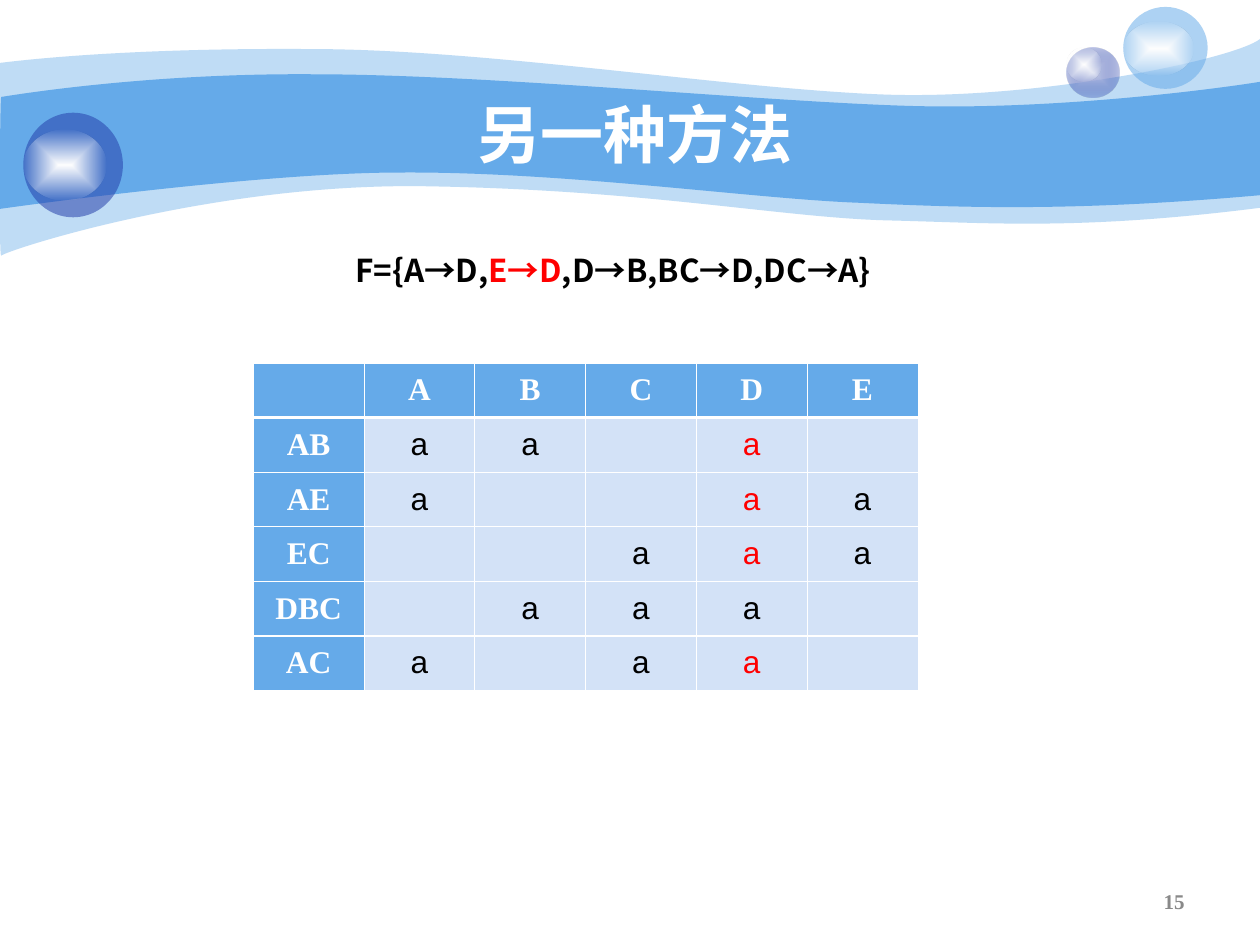
import pptx
import pptx.util
import pptx.dml.color
import pptx.enum.shapes
import pptx.enum.text
import pptx.oxml
import pptx.oxml.ns
from lxml import etree

COLS, ROWS = 100, 75
UNIT = pptx.util.Inches(0.1)
BLUE, NAVY, PALE, WHITE, BLACK, RED = "65AAE9", "233DA9", "D3E2F7", "FFFFFF", "000000", "FF0000"
SERIF, SANS, CJK = "Times New Roman", "Arial", "Noto Sans CJK SC"
qn = pptx.oxml.ns.qn
MIDDLE = pptx.enum.text.MSO_ANCHOR.MIDDLE
ALIGN = pptx.enum.text.PP_ALIGN

WAVES = [
    (41, (0, 5), [
        (2.4, 4.7, 10.7, 3.8, 24.7, 3.9), (38.6, 3.9, 57.5, 7, 69.9, 7.5),
        (82.2, 8, 98, 4.7, 100, 3.1), (100, 16.5),
        (85.8, 18.3, 78.7, 17.7, 70.5, 17.5), (62.2, 17.3, 51.5, 15.1, 34.3, 14.8),
        (17.2, 14.4, 0.4, 19.9, 0.1, 20.3), (-0.1, 20.8, 0, 7.5, 0, 5)]),
    (100, (0.1, 7.7), [
        (0.2, 7.7, 11, 5.8, 24.8, 5.9), (38.6, 5.9, 59.5, 8, 71.8, 8.4),
        (84.1, 8.8, 97.6, 6.9, 100, 6.5), (100, 15.5),
        (85.3, 16.8, 76.5, 16.5, 68.2, 16.1), (59.9, 15.8, 44.7, 13.6, 31.7, 13.7),
        (20.3, 13.7, -0.2, 16.6, -0.1, 16.6), (0, 16.6, 0, 7.7, 0.1, 7.7)]),
]
GLOW = [(WHITE, 100), (WHITE, 0)]
ORBS = [
    ((84.65, 3.75, 4.2, 4), [("C7CEE9", 100), (NAVY, 31)], (84.65, 3.75, 2.8, 2.7)),
    ((89.15, 0.55, 6.7, 6.5), [(BLUE, 53)], (89.15, 1.7, 5.6, 4.3)),
    ((1.85, 8.95, 7.9, 8.3), [(NAVY, 53)], (1.85, 10.3, 6.6, 5.6)),
]
HEADERS = ["", "A", "B", "C", "D", "E"]
RELATIONS = [("AB", "ABD", "D"), ("AE", "ADE", "D"), ("EC", "CDE", "D"),
             ("DBC", "BCD", ""), ("AC", "ACD", "D")]


def color(value):
    return pptx.dml.color.RGBColor.from_string(value)


def grid(*lengths):
    return [pptx.util.Emu(round(n * UNIT)) for n in lengths]


def paint(sp, stops):
    sp.shadow.inherit = False
    sp.line.fill.background()
    if len(stops) == 1:
        sp.fill.solid()
        sp.fill.fore_color.rgb = color(stops[0][0])
    else:
        sp.fill.gradient()
        for stop, (value, _) in zip(sp.fill.gradient_stops, stops):
            stop.color.rgb = color(value)
        gradient = sp.element.spPr.find(qn("a:gradFill"))
        gradient.remove(gradient.find(qn("a:lin")))
        shade = etree.SubElement(gradient, qn("a:path"), path="rect")
        etree.SubElement(shade, qn("a:fillToRect"), l="50000", t="50000", r="50000", b="50000")
    for node, (_, alpha) in zip(sp.element.spPr.iter(qn("a:srgbClr")), stops):
        if alpha < 100:
            etree.SubElement(node, qn("a:alpha"), val=str(alpha * 1000))


def bend(sp, segments):
    lines = iter(list(sp.element.spPr.iter(qn("a:lnTo"))))
    for seg in segments:
        first = next(lines)
        if len(seg) == 6:
            first.tag = qn("a:cubicBezTo")
            for line in (next(lines), next(lines)):
                first.append(line[0])
                line.getparent().remove(line)


def add_banner(s):
    for alpha, start, segments in WAVES:
        builder = s.shapes.build_freeform(*grid(*start))
        points = [grid(*seg[i:i + 2]) for seg in segments for i in range(0, len(seg), 2)]
        builder.add_line_segments(points, close=True)
        sp = builder.convert_to_shape()
        bend(sp, segments)
        paint(sp, [(BLUE, alpha)])


def add_orb(s, ball, stops, glow):
    group = s.shapes.add_group_shape()
    for box, fill in ((ball, stops), (glow, GLOW)):
        oval = pptx.enum.shapes.MSO_SHAPE.OVAL
        paint(group.shapes.add_shape(oval, *grid(*box)), fill)


def add_run(p, text, size, font, value, bold=True):
    r = p.add_run()
    r.text = text
    r.font.size = pptx.util.Pt(size)
    r.font.name = font
    r.font.bold = bold
    r.font.color.rgb = color(value)
    etree.SubElement(r.font._element, qn("a:ea"), typeface=CJK)


def add_title(s, box, text):
    sp = s.shapes.title
    sp.left, sp.top, sp.width, sp.height = grid(*box)
    sp.element.getparent().append(sp.element)
    tf = sp.text_frame
    tf.auto_size = pptx.enum.text.MSO_AUTO_SIZE.NONE
    tf.vertical_anchor = MIDDLE
    tf.margin_left = tf.margin_right = tf.margin_top = tf.margin_bottom = 0
    tf.paragraphs[0].alignment = ALIGN.CENTER
    add_run(tf.paragraphs[0], text, 36, SANS, WHITE)


def add_text(s, box, runs, size, font, align=ALIGN.LEFT, anchor=pptx.enum.text.MSO_ANCHOR.TOP):
    tf = s.shapes.add_textbox(*grid(*box)).text_frame
    tf.word_wrap = True
    tf.vertical_anchor = anchor
    p = tf.paragraphs[0]
    p.alignment = align
    for text, value in runs:
        add_run(p, text, size, font, value)


def set_borders(cell, top, bottom):
    tcPr = cell._tc.get_or_add_tcPr()
    for i, (side, width) in enumerate((("L", 0.45), ("R", 0.45), ("T", top), ("B", bottom))):
        ln = etree.Element(qn("a:ln" + side), w=str(pptx.util.Pt(width)))
        fill = etree.SubElement(ln, qn("a:solidFill"))
        etree.SubElement(fill, qn("a:srgbClr"), val=WHITE)
        tcPr.insert(i, ln)


def fill_cell(cell, row, text, value, heading):
    cell.fill.solid()
    cell.fill.fore_color.rgb = color(BLUE if heading else PALE)
    cell.margin_left = cell.margin_right = pptx.util.Inches(0.07)
    cell.vertical_anchor = MIDDLE
    set_borders(cell, 1.47 if row in (1, 5) else 0.45, 1.47 if row in (0, 4) else 0.45)
    p = cell.text_frame.paragraphs[0]
    p.alignment = ALIGN.CENTER
    if text:
        add_run(p, text, 18, SERIF if heading else SANS, value, heading)


def add_tableau(s, box):
    table = s.shapes.add_table(len(RELATIONS) + 1, len(HEADERS), *grid(*box)).table
    table.first_row = table.horz_banding = False
    for col, name in enumerate(HEADERS):
        fill_cell(table.cell(0, col), 0, name, WHITE, True)
    for row, (relation, marked, derived) in enumerate(RELATIONS, 1):
        fill_cell(table.cell(row, 0), row, relation, WHITE, True)
        for col, name in enumerate(HEADERS[1:], 1):
            fill_cell(table.cell(row, col), row, "a" if name in marked else "",
                      RED if name in derived else BLACK, False)


def main():
    prs = pptx.Presentation()
    prs.slide_width, prs.slide_height = grid(COLS, ROWS)
    s = prs.slides.add_slide(prs.slide_layouts[5])
    add_banner(s)
    for orb in ORBS:
        add_orb(s, *orb)
    add_title(s, (10, 7.5, 80.8, 6.2), "另一种方法")
    add_text(s, (71.7, 69.5, 23.3, 4), [("15", "898989")], 12, SERIF, ALIGN.RIGHT, MIDDLE)
    add_tableau(s, (20.1, 28.8, 52.75, 26))
    add_text(s, (27.2, 19.4, 44.1, 4),
             [("F={A→D,", BLACK), ("E→D", RED), (",D→B,BC→D,DC→A}", BLACK)], 18, CJK)
    prs.save("out.pptx")


if __name__ == "__main__":
    main()
